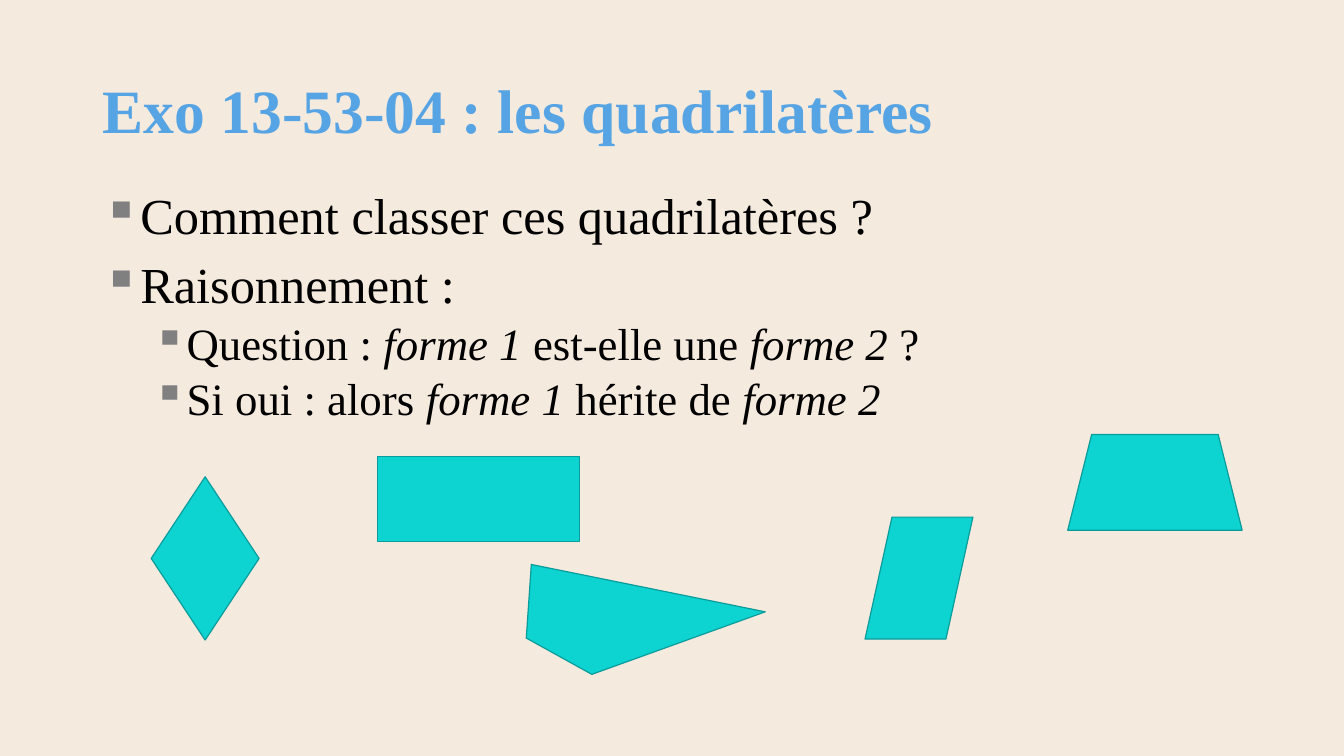
from lxml import etree
from pptx import Presentation
from pptx.dml.color import RGBColor
from pptx.enum.shapes import MSO_SHAPE as Shape
from pptx.enum.text import MSO_ANCHOR as Anchor
from pptx.oxml.ns import qn
from pptx.util import Inches, Pt

SAND = RGBColor(0xF5, 0xEA, 0xDE)
BLUE = RGBColor(0x56, 0xA4, 0xE4)
BLACK = RGBColor(0x00, 0x00, 0x00)
GRAY = RGBColor(0x80, 0x80, 0x80)
TURQUOISE = RGBColor(0x0D, 0xD3, 0xD1)
TEAL = RGBColor(0x0A, 0x9C, 0x9B)


def add_span(para, text, size, color=BLACK, bold=False, italic=False):
    span = para.add_run()
    span.text = text
    font = span.font
    font.name = "Times New Roman"
    font.size = Pt(size)
    font.color.rgb = color
    font.bold = bold
    font.italic = italic


def set_bullet(para, left):
    properties = para._p.get_or_add_pPr()
    properties.set("marL", str(Inches(left)))
    properties.set("indent", str(Inches(-0.25)))
    color = etree.SubElement(properties, qn("a:buClr"))
    etree.SubElement(color, qn("a:srgbClr"), val=str(GRAY))
    etree.SubElement(properties, qn("a:buChar"), char="▪")


class QuadrilateralPage:
    def __init__(self, deck):
        self.page = deck.slides.add_slide(deck.slide_layouts[6])
        background = self.page.background.fill
        background.solid()
        background.fore_color.rgb = SAND

    def text_frame(self, left, top, width, height, anchor=Anchor.TOP):
        box = self.page.shapes.add_textbox(
            Inches(left), Inches(top), Inches(width), Inches(height))
        frame = box.text_frame
        frame.word_wrap = True
        frame.vertical_anchor = anchor
        return frame

    def title(self, text, *place):
        para = self.text_frame(*place, anchor=Anchor.MIDDLE).paragraphs[0]
        para.line_spacing = 0.9
        add_span(para, text, 44, color=BLUE, bold=True)

    def bullets(self, items, *place):
        """Each item is a level and its text pieces, every second one italic."""
        frame = self.text_frame(*place)
        for index, (level, pieces) in enumerate(items):
            para = frame.add_paragraph() if index else frame.paragraphs[0]
            para.level = level
            para.line_spacing = 0.9
            para.space_before = Pt((5 if level else 10) if index else 0)
            set_bullet(para, 0.25 + 0.5 * level)
            for number, piece in enumerate(pieces):
                add_span(para, piece, 36 - 4 * level, italic=number % 2 == 1)

    def paint(self, shape):
        shape.shadow.inherit = False
        shape.fill.solid()
        shape.fill.fore_color.rgb = TURQUOISE
        shape.line.color.rgb = TEAL
        shape.line.width = Pt(0.85)

    def preset(self, kind, left, top, width, height):
        self.paint(self.page.shapes.add_shape(
            kind, Inches(left), Inches(top), Inches(width), Inches(height)))

    def polygon(self, points):
        start, *others = [(Inches(x), Inches(y)) for x, y in points]
        builder = self.page.shapes.build_freeform(*start)
        builder.add_line_segments(others, close=True)
        self.paint(builder.convert_to_shape())


def main():
    deck = Presentation()
    deck.slide_width, deck.slide_height = Inches(13.33), Inches(7.5)
    page = QuadrilateralPage(deck)

    # Title and reasoning
    page.title("Exo 13-53-04 : les quadrilatères", 0.92, 0.4, 11.5, 1.45)
    page.bullets([
        (0, ["Comment classer ces quadrilatères ?"]),
        (0, ["Raisonnement :"]),
        (1, ["Question : ", "forme 1", " est-elle une ", "forme 2", " ?"]),
        (1, ["Si oui : alors ", "forme 1", " hérite de ", "forme 2"]),
    ], 0.92, 1.85, 11.5, 4.91)

    # Quadrilaterals to classify
    page.preset(Shape.RECTANGLE, 3.74, 4.53, 2.01, 0.84)
    page.preset(Shape.DIAMOND, 1.5, 4.73, 1.07, 1.62)
    page.preset(Shape.PARALLELOGRAM, 8.58, 5.13, 1.07, 1.21)
    page.preset(Shape.TRAPEZOID, 10.59, 4.31, 1.73, 0.95)
    page.polygon([(5.27, 5.6), (7.59, 6.07), (5.87, 6.69), (5.22, 6.33)])

    deck.save("out.pptx")


if __name__ == "__main__":
    main()
